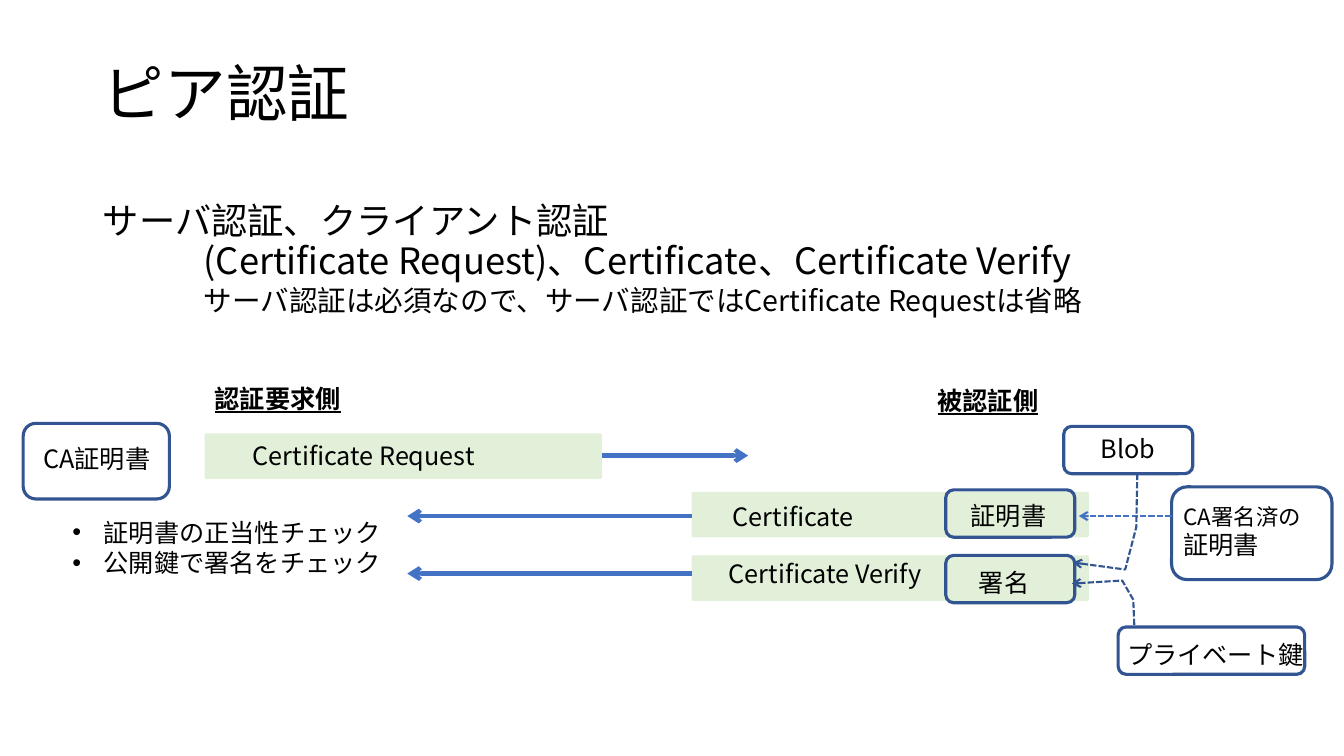
"""Build the peer authentication slide."""
from lxml import etree
from pptx import Presentation
from pptx.dml.color import RGBColor
from pptx.enum.dml import MSO_LINE
from pptx.enum.shapes import MSO_CONNECTOR, MSO_SHAPE
from pptx.enum.text import MSO_ANCHOR, MSO_AUTO_SIZE, PP_ALIGN
from pptx.oxml.ns import qn
from pptx.util import Inches, Pt

ROUNDED = MSO_SHAPE.ROUNDED_RECTANGLE
STRAIGHT = MSO_CONNECTOR.STRAIGHT
DASH = MSO_LINE.SQUARE_DOT
LEFT, TOP, MIDDLE = PP_ALIGN.LEFT, MSO_ANCHOR.TOP, MSO_ANCHOR.MIDDLE
NO_FIT = MSO_AUTO_SIZE.NONE
FONT = "Noto Sans CJK JP"
BLACK, GREEN, BLUE, NAVY = "000000", "E2F0D9", "4472C4", "325491"


def write(p, text, size=18, **fmt):
    r = p.add_run()
    r.text = text
    r.font.color.rgb = RGBColor.from_string(BLACK)
    for key, value in {"name": FONT, "size": Pt(size), **fmt}.items():
        setattr(r.font, key, value)
    etree.SubElement(r.font._element, qn("a:ea"), typeface=FONT)


def paint(sp, fill=None, line=None, width=2.25, dash=None, arrow=False):
    if fill:
        sp.fill.solid()
        sp.fill.fore_color.rgb = RGBColor.from_string(fill)
    elif hasattr(sp, "fill"):
        sp.fill.background()
    if line:
        sp.line.color.rgb = RGBColor.from_string(line)
        sp.line.width = Pt(width)
        sp.line.dash_style = dash
    else:
        sp.line.fill.background()
    spPr = sp._element.spPr
    if arrow:
        etree.SubElement(spPr.find(qn("a:ln")), qn("a:tailEnd"), type="arrow")
    etree.SubElement(spPr, qn("a:effectLst"))


prs = Presentation()
prs.slide_width, prs.slide_height = Inches(13.33), Inches(7.5)
s = prs.slides.add_slide(prs.slide_layouts[1])
title, body = s.placeholders

for sp, top, height, anchor in [(title, 0.4, 1.12, MIDDLE), (body, 2.03, 1.39, TOP)]:
    sp.left, sp.top = Inches(0.92), Inches(top)
    sp.width, sp.height = Inches(11.5), Inches(height)
    sp.text_frame.auto_size = NO_FIT
    sp.text_frame.vertical_anchor = anchor

p = title.text_frame.paragraphs[0]
p.alignment, p.line_spacing = LEFT, 0.9
write(p, "ピア認証", 44)

tf = body.text_frame
for i, (text, size, indent, before) in enumerate([
    ("サーバ認証、クライアント認証", 25.9, 0, 7),
    ("(Certificate Request)、Certificate、Certificate Verify", 25.9, 1, 7),
    ("サーバ認証は必須なので、サーバ認証ではCertificate Requestは省略", 20.4, 1, 8.5),
]):
    p = tf.add_paragraph() if i else tf.paragraphs[0]
    p.line_spacing, p.space_before = 0.7, Pt(before)
    pPr = p._p.get_or_add_pPr()
    pPr.set("marL", str(Inches(indent)))
    pPr.set("indent", "0")
    etree.SubElement(pPr, qn("a:buNone"))
    write(p, text, size)

for x, y in [(2.03, 4.3), (6.86, 4.88), (6.86, 5.51)]:
    sp = s.shapes.add_shape(ROUNDED, Inches(x), Inches(y), Inches(3.94), Inches(0.45))
    sp.adjustments[0] = 0.033
    paint(sp, fill=GREEN)

for x, y, w, h in [
    (0.23, 4.2, 1.45, 0.75),
    (9.38, 4.86, 1.28, 0.47),
    (9.38, 5.51, 1.28, 0.47),
    (10.55, 4.23, 1.28, 0.47),
    (11.62, 4.83, 1.59, 0.92),
    (11.09, 6.22, 1.85, 0.47),
]:
    sp = s.shapes.add_shape(ROUNDED, Inches(x), Inches(y), Inches(w), Inches(h))
    paint(sp, line=NAVY)

for x1, x2, y, width, dash in [
    (5.97, 7.42, 4.52, 3, None),
    (6.86, 4.04, 5.12, 3, None),
    (6.86, 4.04, 5.69, 3, None),
    (11.62, 10.7, 5.12, 1.5, DASH),
]:
    sp = s.shapes.add_connector(STRAIGHT, Inches(x1), Inches(y), Inches(x2), Inches(y))
    paint(sp, line=BLUE, width=width, dash=dash, arrow=True)

for route in [
    [(11.25, 6.2), (11.24, 5.95), (11.13, 5.76), (10.63, 5.79)],
    [(11.28, 4.7), (11.27, 5.23), (11.16, 5.65), (10.64, 5.58)],
]:
    start, *rest = [(Inches(x), Inches(y)) for x, y in route]
    builder = s.shapes.build_freeform(*start)
    builder.add_line_segments(rest, close=False)
    paint(builder.convert_to_shape(), line=NAVY, width=1.5, dash=DASH, arrow=True)

heading = {"bold": True, "underline": True}
for x, y, w, lines, fmt in [
    (2.03, 3.75, 1.71, [("認証要求側", 18)], heading),
    (9.2, 3.77, 1.71, [("被認証側", 18)], heading),
    (0.33, 4.35, 1.71, [("CA証明書", 18)], {}),
    (11.64, 4.94, 1.69, [("CA署名済の", 16), ("証明書", 18)], {}),
    (11.08, 6.29, 2, [("プライベート鍵", 18)], {}),
    (2.41, 4.32, 3.26, [("Certificate Request", 18)], {}),
    (7.17, 4.92, 1.7, [("Certificate", 18)], {}),
    (7.13, 5.49, 2.48, [("Certificate Verify", 18)], {}),
    (9.53, 4.91, 1.71, [("証明書", 18)], {}),
    (9.61, 5.58, 0.89, [("署名", 18)], {}),
    (10.82, 4.25, 1.71, [("Blob", 18)], {}),
    (0.62, 5.08, 3.36, [("証明書の正当性チェック", 18), ("公開鍵で署名をチェック", 18)], {"bullet": "•"}),
]:
    height = 0.4 if len(lines) == 1 else 0.7
    tf = s.shapes.add_textbox(Inches(x), Inches(y), Inches(w), Inches(height)).text_frame
    tf.word_wrap = True
    bullet = fmt.pop("bullet", None)
    for i, (text, size) in enumerate(lines):
        p = tf.add_paragraph() if i else tf.paragraphs[0]
        if bullet:
            pPr = p._p.get_or_add_pPr()
            pPr.set("marL", str(Inches(0.31)))
            pPr.set("indent", str(-Inches(0.31)))
            etree.SubElement(pPr, qn("a:buFont"), typeface="Arial")
            etree.SubElement(pPr, qn("a:buChar"), char=bullet)
        write(p, text, size, **fmt)

prs.save("out.pptx")
